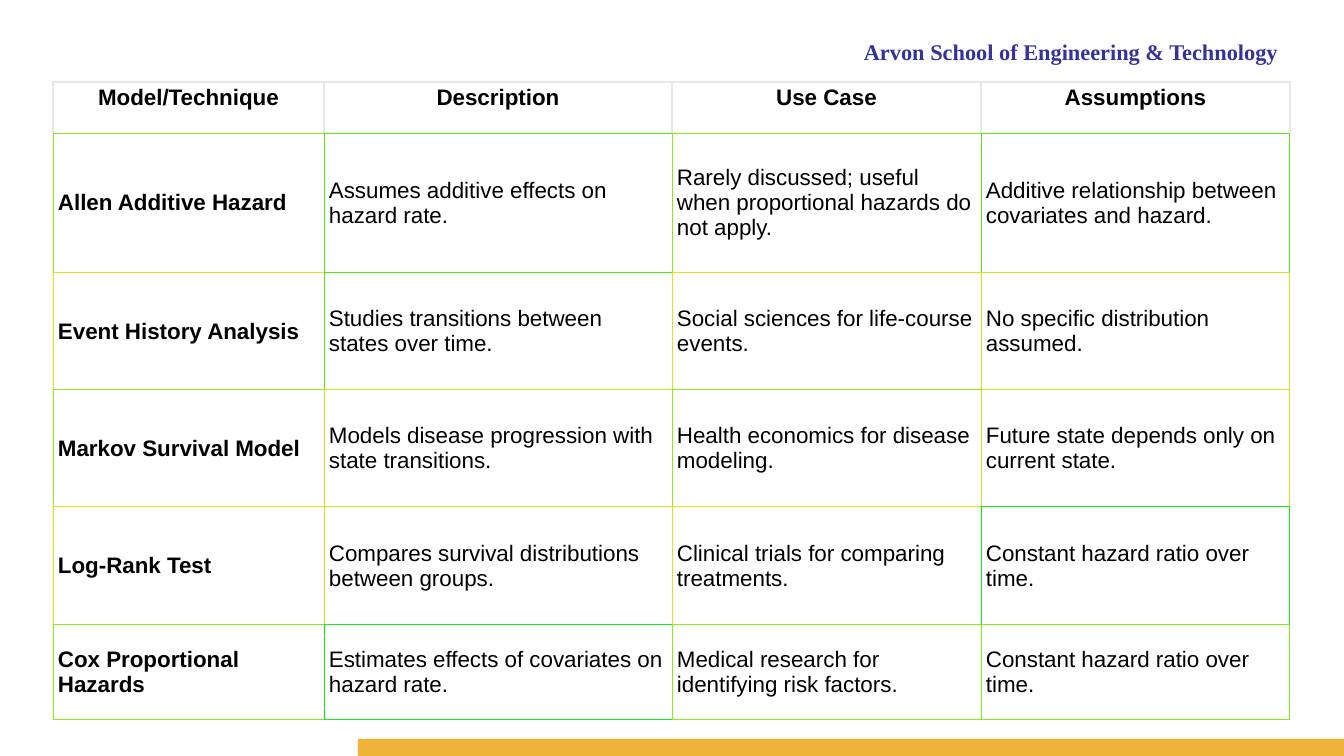
from dataclasses import dataclass

import pptx
import pptx.dml.color
import pptx.enum.shapes
import pptx.enum.text
import pptx.oxml
import pptx.oxml.ns
import pptx.util

SCALE = 914400 / 100.8
ALIGN = pptx.enum.text.PP_ALIGN
ANCHOR = pptx.enum.text.MSO_ANCHOR

GREY, LIME, GREEN = "E5E7EB", "90E918", "50EB18"
GOLD, PEAR, VIVID, LEAF = "E0E318", "C0EB18", "10ED18", "80ED18"

COLS = [271, 348, 309, 309]


@dataclass(frozen=True)
class Row:
    height: int
    texts: tuple[str, ...]
    edges: tuple[str, ...]
    width: float = 0.75


ROWS = [
    Row(51, ("Model/Technique", "Description", "Use Case", "Assumptions"),
        (GREY,) * 4, 1),
    Row(140, ("Allen Additive Hazard",
              "Assumes additive effects on hazard rate.",
              "Rarely discussed; useful when proportional hazards do not apply.",
              "Additive relationship between covariates and hazard."),
        (LIME, GREEN, LIME, GREEN)),
    Row(117, ("Event History Analysis",
              "Studies transitions between states over time.",
              "Social sciences for life-course events.",
              "No specific distribution assumed."),
        (GOLD, GREEN, GOLD, PEAR)),
    Row(117, ("Markov Survival Model",
              "Models disease progression with state transitions.",
              "Health economics for disease modeling.",
              "Future state depends only on current state."),
        (LIME, PEAR, LIME, PEAR)),
    Row(118, ("Log-Rank Test",
              "Compares survival distributions between groups.",
              "Clinical trials for comparing treatments.",
              "Constant hazard ratio over time."),
        (GOLD, PEAR, GOLD, VIVID)),
    Row(95, ("Cox Proportional Hazards",
             "Estimates effects of covariates on hazard rate.",
             "Medical research for identifying risk factors.",
             "Constant hazard ratio over time."),
        (LIME, VIVID, LIME, LEAF)),
]


def px(count: int) -> int:
    return pptx.util.Emu(round(count * SCALE))


def color(code: str) -> pptx.dml.color.RGBColor:
    return pptx.dml.color.RGBColor.from_string(code)


def write(frame, text: str, *, font: str = "Arial", size: int = 16,
          bold: bool = False, ink: str = "000000", align=ALIGN.LEFT) -> None:
    frame.word_wrap = True
    para = frame.paragraphs[0]
    para.alignment = align
    run = para.add_run()
    run.text = text
    run.font.name = font
    run.font.size = pptx.util.Pt(size)
    run.font.bold = bold
    run.font.color.rgb = color(ink)


def border(cell, side: str, code: str, width: float) -> None:
    space = pptx.oxml.ns.nsdecls("a")
    line = pptx.oxml.parse_xml(
        f'<a:ln{side} {space} w="{pptx.util.Pt(width)}">'
        f'<a:solidFill><a:srgbClr val="{code}"/></a:solidFill></a:ln{side}>')
    cell._tc.get_or_add_tcPr().append(line)


def frame_cell(cell, row: int, col: int) -> None:
    """Each cell shares its right and bottom edges with the next cells."""
    right = ROWS[row].edges[min(col + 1, len(COLS) - 1)]
    below = ROWS[min(row + 1, len(ROWS) - 1)]
    own, width = ROWS[row].edges[col], ROWS[row].width
    border(cell, "L", own, width)
    border(cell, "R", right, width)
    border(cell, "T", own, width)
    border(cell, "B", below.edges[col], below.width)


def add_grid(slide) -> None:
    table = slide.shapes.add_table(
        len(ROWS), len(COLS), px(53), px(82), px(sum(COLS)),
        px(sum(row.height for row in ROWS))).table
    table.first_row = table.horz_banding = False
    for col, width in enumerate(COLS):
        table.columns[col].width = px(width)
    for r, row in enumerate(ROWS):
        table.rows[r].height = px(row.height)
        head = r == 0
        for c, text in enumerate(row.texts):
            cell = table.cell(r, c)
            cell.margin_left = cell.margin_right = px(5)
            cell.margin_top = cell.margin_bottom = px(3)
            cell.vertical_anchor = ANCHOR.TOP if head else ANCHOR.MIDDLE
            write(cell.text_frame, text, bold=head or c == 0,
                  align=ALIGN.CENTER if head else ALIGN.LEFT)
            frame_cell(cell, r, c)
            cell.fill.background()


def add_title(slide) -> None:
    title = slide.shapes.title
    title.left, title.top = px(605), px(33)
    title.width, title.height = px(683), px(34)
    title.text_frame.vertical_anchor = ANCHOR.TOP
    write(title.text_frame, "Arvon School of Engineering & Technology",
          font="Times New Roman", bold=True, ink="333399", align=ALIGN.RIGHT)


def add_band(slide) -> None:
    band = slide.shapes.add_shape(
        pptx.enum.shapes.MSO_SHAPE.RECTANGLE, px(358), px(739), px(986), px(17))
    band.shadow.inherit = False
    band.fill.solid()
    band.fill.fore_color.rgb = color("F1B43B")
    band.line.fill.background()


def main() -> None:
    deck = pptx.Presentation()
    deck.slide_width, deck.slide_height = px(1344), px(756)
    slide = deck.slides.add_slide(deck.slide_layouts.get_by_name("Title Only"))
    add_title(slide)
    add_band(slide)
    add_grid(slide)
    deck.save("out.pptx")


if __name__ == "__main__":
    main()
